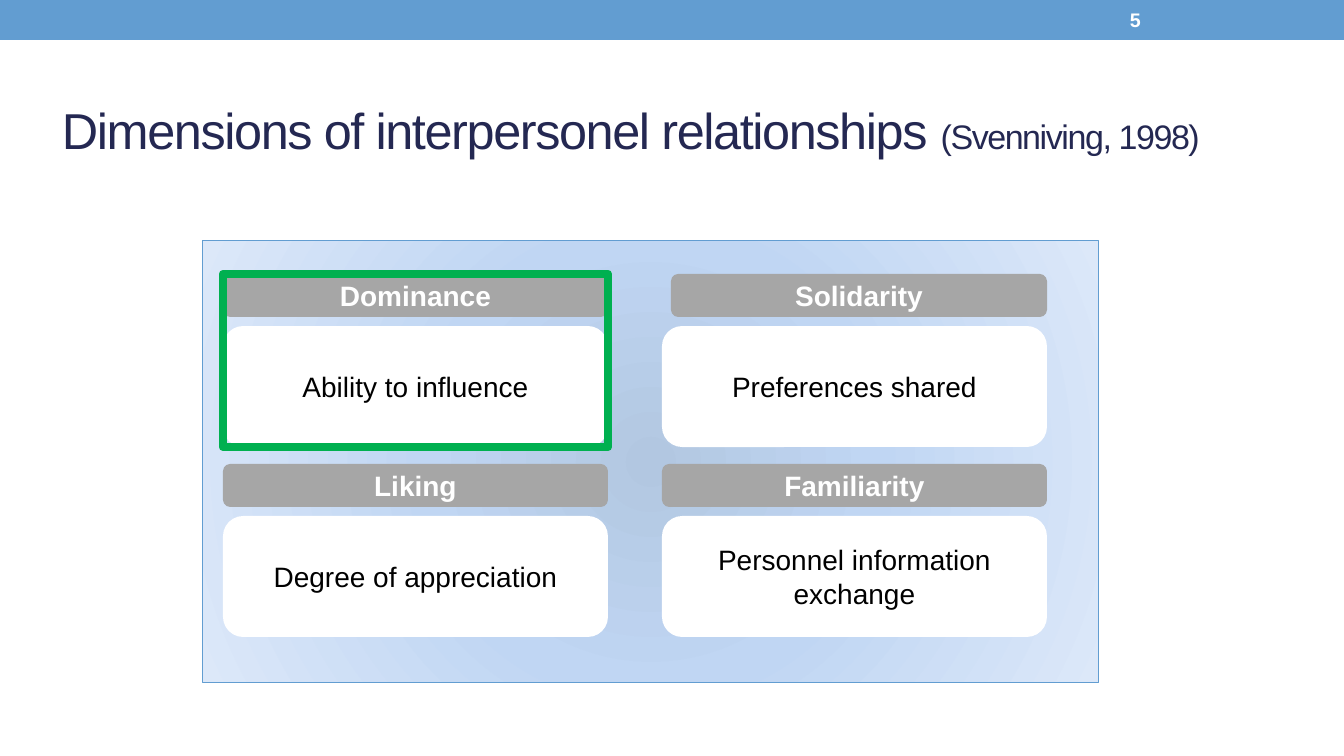
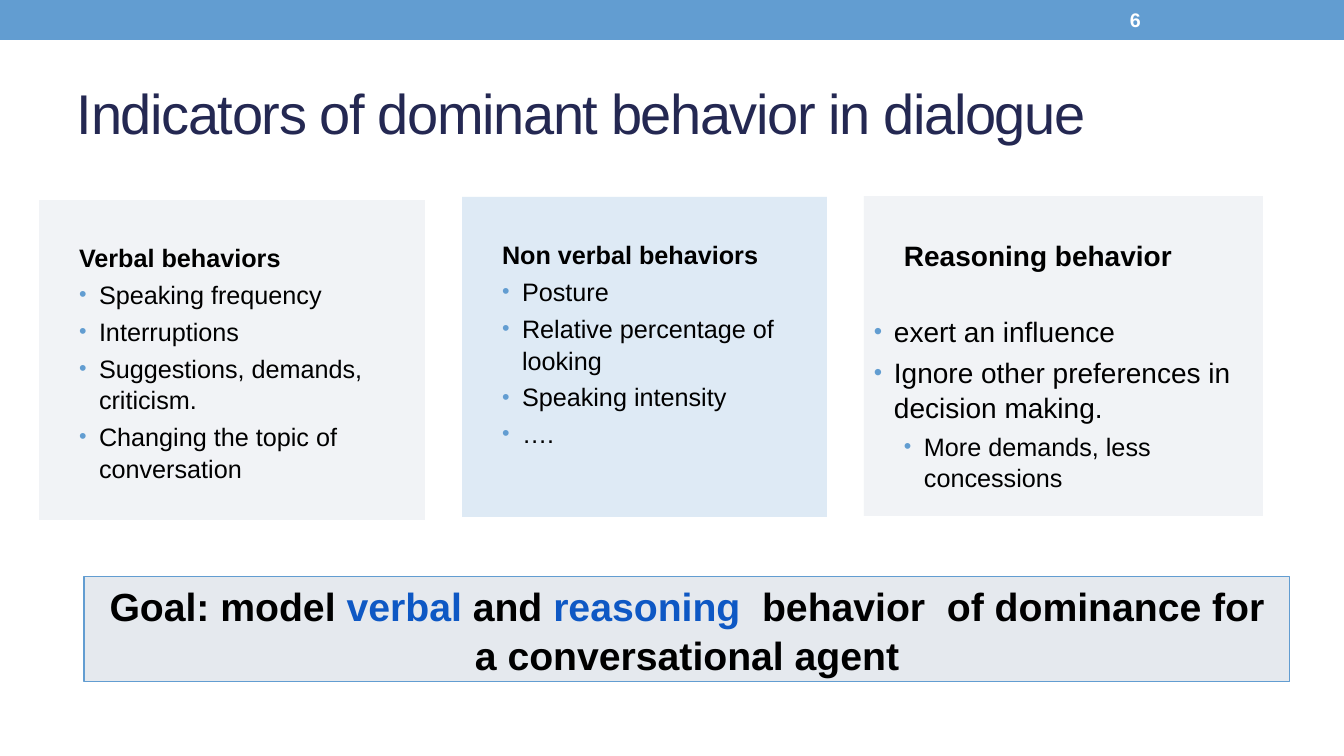
from lxml import etree
from pptx import Presentation
from pptx.dml.color import RGBColor
from pptx.enum.shapes import MSO_SHAPE
from pptx.enum.text import MSO_ANCHOR, PP_ALIGN
from pptx.oxml.ns import qn
from pptx.util import Pt

RECT = MSO_SHAPE.RECTANGLE
ROUNDED = MSO_SHAPE.ROUNDED_RECTANGLE
TOP, MIDDLE = MSO_ANCHOR.TOP, MSO_ANCHOR.MIDDLE
LEFT, CENTER = PP_ALIGN.LEFT, PP_ALIGN.CENTER

WIDTH, HEIGHT = 1344, 756
SCALE = 12192000 / WIDTH
FONT = "Arial"
COLORS = {
    "white": "FFFFFF",
    "black": "000000",
    "navy": "242852",
    "blue": "629DD1",
    "accent": "0E58C4",
    "gray": "A6A6A6",
    "green": "00B050",
    "pale gray": "E5E9EE",
    "pale blue": "C0D8ED",
    "glow center": "B2C7E1",
    "glow middle": "C0D6F3",
    "glow edge": "DCE8F9",
}


def px(length):
    return round(length * SCALE)


def rgb(name):
    return RGBColor.from_string(COLORS[name])


def add_xml(parent, tag, **attributes):
    return etree.SubElement(parent, qn(tag), attributes)


class SlideWriter:
    def __init__(self):
        self.deck = Presentation()
        self.deck.slide_width, self.deck.slide_height = px(WIDTH), px(HEIGHT)
        self.page = None

    def start_page(self, number, title, title_at, title_size):
        self.page = self.deck.slides.add_slide(self.deck.slide_layouts[6])
        self.shape((0, 0, WIDTH, 40), fill="blue")
        heading = self.text_box(title_at)
        para = self.paragraph(heading, title, title_size, "navy")
        for span in para.runs:
            span._r.get_or_add_rPr().set("spc", "-100")
        label = self.text_box((1120, 2, 157, 36))
        self.paragraph(label, [(str(number), {})], 14, "white", bold=True)

    def text_box(self, at):
        box = self.page.shapes.add_textbox(*map(px, at))
        self.frame(box, MIDDLE)
        return box

    def frame(self, box, anchor, top=5):
        frame = box.text_frame
        frame.word_wrap = True
        frame.vertical_anchor = anchor
        frame.margin_left = frame.margin_right = px(10)
        frame.margin_top, frame.margin_bottom = px(top), px(5)

    def shape(self, at, kind=RECT, fill=None, opacity=None, line=None, weight=0.75):
        box = self.page.shapes.add_shape(kind, *map(px, at))
        box.shadow.inherit = False
        if fill:
            box.fill.solid()
            box.fill.fore_color.rgb = rgb(fill)
        else:
            box.fill.background()
        if opacity:
            color = box._element.spPr.find(qn("a:solidFill"))[0]
            add_xml(color, "a:alpha", val=str(opacity * 1000))
        if line:
            box.line.color.rgb = rgb(line)
            box.line.width = Pt(weight)
        else:
            box.line.fill.background()
        self.frame(box, MIDDLE)
        return box

    def glow(self, box, stops):
        box.fill.gradient()
        gradient = box._element.spPr.find(qn("a:gradFill"))
        for child in list(gradient):
            gradient.remove(child)
        stop_list = add_xml(gradient, "a:gsLst")
        for position, name in stops:
            stop = add_xml(stop_list, "a:gs", pos=str(position * 1000))
            add_xml(stop, "a:srgbClr", val=COLORS[name])
        circle = add_xml(gradient, "a:path", path="circle")
        add_xml(circle, "a:fillToRect", l="50000", t="50000", r="50000", b="50000")

    def paragraph(self, box, spans, size, color="black", bold=False, align=LEFT):
        frame = box.text_frame
        para = frame.paragraphs[0]
        if para.runs:
            para = frame.add_paragraph()
        para.alignment = align
        font = para.font
        font.name, font.size, font.bold = FONT, Pt(size), bold
        font.color.rgb = rgb(color)
        for text, style in spans:
            span = para.add_run()
            span.text = text
            if "size" in style:
                span.font.size = Pt(style["size"])
            if "color" in style:
                span.font.color.rgb = rgb(style["color"])
        return para

    def bullet(self, para, indent):
        properties = para._p.get_or_add_pPr()
        properties.set("marL", str(px(indent)))
        properties.set("indent", str(px(-20)))
        color = etree.Element(qn("a:buClr"))
        add_xml(color, "a:srgbClr", val=COLORS["blue"])
        size = etree.Element(qn("a:buSzPct"), val="85000")
        typeface = etree.Element(qn("a:buFont"), typeface=FONT)
        mark = etree.Element(qn("a:buChar"), char="•")
        defaults = properties.find(qn("a:defRPr"))
        for element in (color, size, typeface, mark):
            defaults.addprevious(element)

    def card(self, left, top, heading, text, header_inset=0):
        body = self.shape((left, top + 52, 385, 121), ROUNDED, "white")
        self.paragraph(body, [(text, {})], 20, align=CENTER)
        header_at = (left + header_inset, top, 385 - header_inset, 43)
        header = self.shape(header_at, ROUNDED, "gray")
        self.paragraph(header, [(heading, {})], 20, "white", True, CENTER)

    def panel(self, at, fill, heading, heading_size, items, gap=3.6):
        box = self.shape(at, fill=fill, opacity=52)
        self.frame(box, TOP, top=41)
        title = self.paragraph(box, [(heading, {})], heading_size, bold=True)
        title._p.get_or_add_pPr().set("marL", str(px(30)))
        title.line_spacing = 1.05
        for index, (text, size, indent) in enumerate(items):
            para = self.paragraph(box, [(text, {})], size)
            para.line_spacing = 1.05
            para.space_before = Pt(size / 5 if index else gap)
            self.bullet(para, indent)


def build_dimensions(writer):
    title = [
        ("Dimensions of interpersonel relationships ", {}),
        ("(Svenniving, 1998)", {"size": 24.3}),
    ]
    writer.start_page(5, title, (52, 75, 1202, 109), 36)
    backdrop = writer.shape((203, 241, 896, 442), line="blue")
    writer.glow(backdrop, [(0, "glow center"), (45, "glow middle"), (100, "glow edge")])
    cards = [
        ("Dominance", "Ability to influence", 0),
        ("Solidarity", "Preferences shared", 9),
        ("Liking", "Degree of appreciation", 0),
        ("Familiarity", "Personnel information exchange", 0),
    ]
    for index, (heading, text, inset) in enumerate(cards):
        row, column = divmod(index, 2)
        writer.card(223 + 439 * column, 274 + 190 * row, heading, text, inset)
    writer.shape((223, 274, 385, 173), line="green", weight=6)


def build_indicators(writer):
    title = [("Indicators of dominant behavior in dialogue", {})]
    writer.start_page(6, title, (67, 58, 1210, 109), 40)
    verbal = [
        "Speaking frequency",
        "Interruptions",
        "Suggestions, demands, criticism.",
        "Changing the topic of conversation",
    ]
    non_verbal = ["Posture", "Relative percentage of looking", "Speaking intensity", "…."]
    reasoning = [
        ("exert an influence", 20, 20),
        ("Ignore other preferences in decision making.", 20, 20),
        ("More demands, less concessions", 18, 50),
    ]
    writer.panel((39, 200, 386, 320), "pale gray", "Verbal behaviors", 18,
                 [(text, 18, 50) for text in verbal])
    writer.panel((462, 197, 365, 320), "pale blue", "Non verbal behaviors", 18,
                 [(text, 18, 50) for text in non_verbal])
    writer.panel((864, 196, 399, 320), "pale gray", "Reasoning behavior", 20,
                 reasoning, gap=29)
    goal = writer.shape((84, 577, 1206, 105), fill="pale gray", line="blue")
    spans = [
        ("Goal: model ", {}),
        ("verbal", {"color": "accent"}),
        (" and ", {}),
        ("reasoning", {"color": "accent"}),
        ("  behavior  of dominance for a conversational agent", {}),
    ]
    para = writer.paragraph(goal, spans, 28, bold=True, align=CENTER)
    para.line_spacing = 1.05


def main():
    writer = SlideWriter()
    build_dimensions(writer)
    build_indicators(writer)
    writer.deck.save("out.pptx")


if __name__ == "__main__":
    main()
